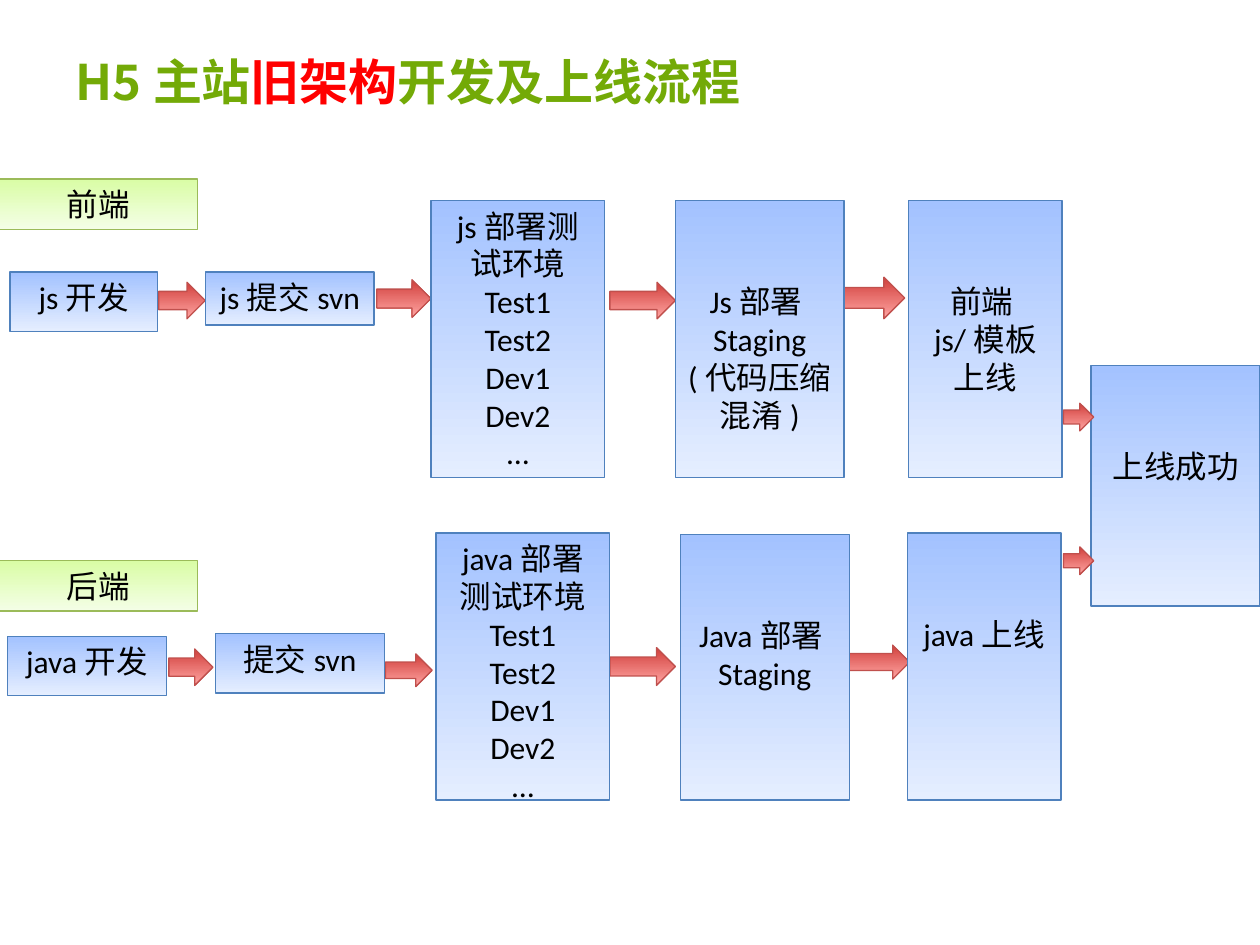
from itertools import groupby

from lxml.etree import SubElement
from pptx import Presentation
from pptx.dml.color import RGBColor
from pptx.enum.shapes import MSO_SHAPE
from pptx.enum.text import MSO_ANCHOR, PP_ALIGN
from pptx.oxml.ns import qn
from pptx.util import Inches, Pt

LATIN_FONT = "Calibri"
CHINESE_FONT = "Noto Sans CJK SC"

BLACK = RGBColor(0x00, 0x00, 0x00)
TITLE_GREEN = RGBColor(0x73, 0xAA, 0x07)
TITLE_RED = RGBColor(0xFF, 0x00, 0x00)

# Gradient top, gradient bottom, outline
BLUE = (RGBColor(0xA3, 0xC2, 0xFF), RGBColor(0xE5, 0xEE, 0xFF), RGBColor(0x4F, 0x81, 0xBD))
GREEN = (RGBColor(0xD9, 0xFD, 0xA5), RGBColor(0xF4, 0xFE, 0xE6), RGBColor(0x9B, 0xBB, 0x59))
RED = (RGBColor(0xD1, 0x3F, 0x3B), RGBColor(0xFF, 0xA5, 0xA3), RGBColor(0xC0, 0x50, 0x4D))

TOP_INSET = 0.05
LOWERED_INSET = 0.65  # starts the text two lines further down

TEST_SERVERS = ["Test1", "Test2", "Dev1", "Dev2", "…"]


def add_block(kind, place, palette):
    """Add a preset shape with a top-to-bottom gradient and a thin outline."""
    top_color, bottom_color, line_color = palette
    block = page.shapes.add_shape(kind, *map(Inches, place))
    block.shadow.inherit = False
    block.fill.gradient()
    block.fill.gradient_angle = 270
    for stop, color in zip(block.fill.gradient_stops, (top_color, bottom_color)):
        stop.color.rgb = color
    block.line.color.rgb = line_color
    block.line.width = Pt(0.75)
    return block


def add_span(paragraph, text, font_name):
    """Add a run that uses one font for Latin and Chinese characters."""
    span = paragraph.add_run()
    span.text = text
    span.font.name = font_name
    SubElement(span.font._element, qn("a:ea"), typeface=font_name)
    return span


deck = Presentation()
deck.slide_width, deck.slide_height = Inches(10), Inches(7.5)
page = deck.slides.add_slide(deck.slide_layouts[6])

# Title
title = page.shapes.add_textbox(Inches(0.5), Inches(0.3), Inches(9), Inches(0.69))
title.text_frame.word_wrap = True
title.text_frame.vertical_anchor = MSO_ANCHOR.MIDDLE
heading = title.text_frame.paragraphs[0]
heading.font.size = Pt(28)
heading.font.bold = True
for text, color in [
    ("H5主站", TITLE_GREEN),
    ("旧架构", TITLE_RED),
    ("开发及上线流程", TITLE_GREEN),
]:
    add_span(heading, text, CHINESE_FONT).font.color.rgb = color

# Arrows between the steps, front end then back end
step_arrows = [
    (1.26, 2.24, 0.37, 0.29),
    (2.99, 2.22, 0.43, 0.30),
    (4.84, 2.24, 0.52, 0.29),
    (6.70, 2.20, 0.48, 0.33),
    (1.34, 5.15, 0.35, 0.29),
    (3.06, 5.19, 0.37, 0.26),
    (4.84, 5.14, 0.52, 0.30),
    (6.72, 5.12, 0.50, 0.27),
]
for place in step_arrows:
    add_block(MSO_SHAPE.RIGHT_ARROW, place, RED)

# Place, palette, top inset, paragraphs
steps = [
    ((-0.01, 1.42, 1.58, 0.40), GREEN, TOP_INSET, ["前端"]),
    ((0.08, 2.16, 1.17, 0.47), BLUE, TOP_INSET, ["js开发"]),
    ((1.63, 2.16, 1.34, 0.42), BLUE, TOP_INSET, ["js提交svn"]),
    ((3.42, 1.59, 1.38, 2.20), BLUE, TOP_INSET, ["js部署测试环境", *TEST_SERVERS]),
    ((5.36, 1.59, 1.34, 2.20), BLUE, LOWERED_INSET, ["Js部署Staging", "(代码压缩混淆)"]),
    ((7.21, 1.59, 1.22, 2.20), BLUE, LOWERED_INSET, ["前端js/模板上线"]),
    ((-0.01, 4.45, 1.58, 0.40), GREEN, TOP_INSET, ["后端"]),
    ((0.06, 5.05, 1.26, 0.47), BLUE, TOP_INSET, ["java开发"]),
    ((1.71, 5.03, 1.34, 0.47), BLUE, TOP_INSET, ["提交svn"]),
    ((3.46, 4.23, 1.38, 2.12), BLUE, TOP_INSET, ["java部署测试环境", *TEST_SERVERS]),
    ((5.40, 4.24, 1.34, 2.11), BLUE, LOWERED_INSET, ["Java部署Staging"]),
    ((7.20, 4.23, 1.22, 2.12), BLUE, LOWERED_INSET, ["java上线"]),
    ((8.66, 2.90, 1.34, 1.91), BLUE, LOWERED_INSET, ["上线成功"]),
]
for place, palette, inset, lines in steps:
    frame = add_block(MSO_SHAPE.RECTANGLE, place, palette).text_frame
    frame.word_wrap = True
    frame.vertical_anchor = MSO_ANCHOR.TOP
    frame.margin_top = Inches(inset)
    for index, line in enumerate(lines):
        paragraph = frame.paragraphs[0] if index == 0 else frame.add_paragraph()
        paragraph.alignment = PP_ALIGN.CENTER
        paragraph.font.size = Pt(18)
        for is_chinese, letters in groupby(line, lambda letter: "一" <= letter <= "龥"):
            span = add_span(paragraph, "".join(letters), CHINESE_FONT if is_chinese else LATIN_FONT)
            span.font.color.rgb = BLACK

# Arrows from both rows into the final step
for top in (3.20, 4.34):
    add_block(MSO_SHAPE.RIGHT_ARROW, (8.44, top, 0.24, 0.22), RED)

deck.save("out.pptx")
